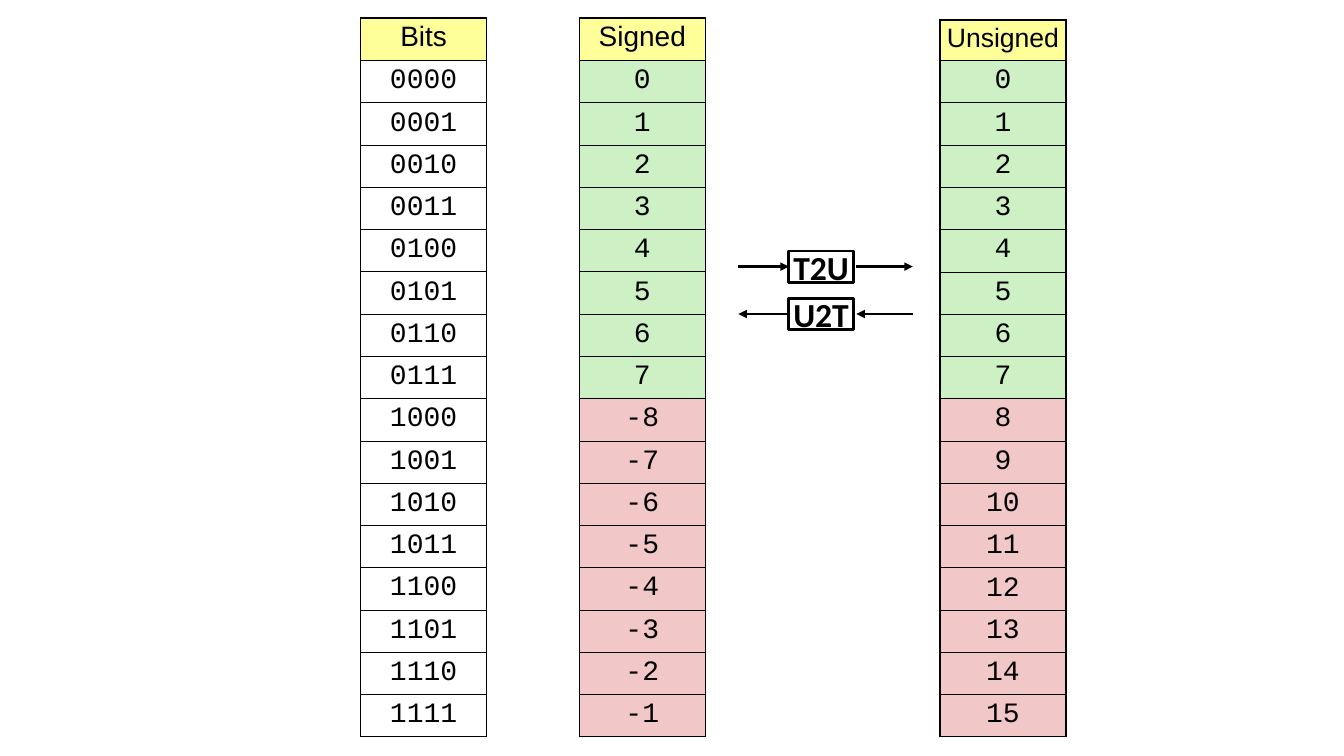
import lxml.etree
import pptx
import pptx.dml.color
import pptx.enum.shapes
import pptx.enum.text
import pptx.oxml.ns
import pptx.util

Pt = pptx.util.Pt
qn = pptx.oxml.ns.qn

COLORS = {
    "ink": "000000",
    "paper": "FFFFFF",
    "header": "FFFF99",
    "same": "CDF1C5",
    "differs": "F1C7C7",
}
ROW_HEIGHT = 30.2
COLUMN_WIDTH = 90
OUTER_LINE, INNER_LINE = 1.08, 0.45
LEFT_SIDE = 1


def color(name):
    return pptx.dml.color.RGBColor.from_string(COLORS[name])


class MappingSlide:
    def __init__(self, presentation):
        self.slide = presentation.slides.add_slide(presentation.slide_layouts[6])
        self.shapes = self.slide.shapes

    def add_label(self, frame, text, font, size, bold=False):
        paragraph = frame.paragraphs[0]
        paragraph.alignment = pptx.enum.text.PP_ALIGN.CENTER
        run = paragraph.add_run()
        run.text = text
        run.font.name = font
        run.font.size = Pt(size)
        run.font.bold = bold
        run.font.color.rgb = color("ink")
        return paragraph

    def border(self, cell, top, bottom):
        properties = cell._tc.get_or_add_tcPr()
        widths = {"lnL": OUTER_LINE, "lnR": OUTER_LINE, "lnT": top, "lnB": bottom}
        for position, (side, width) in enumerate(widths.items()):
            line = lxml.etree.Element(qn(f"a:{side}"), w=str(int(Pt(width))))
            fill = lxml.etree.SubElement(line, qn("a:solidFill"))
            lxml.etree.SubElement(fill, qn("a:srgbClr"), val=COLORS["ink"])
            properties.insert(position, line)

    def column(self, left, top, title, values, fills, title_size=20, title_height=ROW_HEIGHT):
        """Draw a one-column table with a heading above the values."""
        texts = [title, *values]
        height = title_height + ROW_HEIGHT * len(values)
        table = self.shapes.add_table(
            len(texts), 1, Pt(left), Pt(top), Pt(COLUMN_WIDTH), Pt(height)).table
        table.first_row = table.horz_banding = False
        last = len(texts) - 1
        for index, (text, fill) in enumerate(zip(texts, ["header", *fills])):
            is_title = index == 0
            table.rows[index].height = Pt(title_height if is_title else ROW_HEIGHT)
            cell = table.cell(index, 0)
            cell.margin_left = cell.margin_right = Pt(3.6)
            cell.margin_top = cell.margin_bottom = Pt(3.6)
            cell.fill.solid()
            cell.fill.fore_color.rgb = color(fill)
            paragraph = self.add_label(cell.text_frame, text,
                                       "Arial" if is_title else "Courier New",
                                       title_size if is_title else 20)
            paragraph.line_spacing = 0.95
            self.border(cell, OUTER_LINE if is_title else INNER_LINE,
                        OUTER_LINE if index == last else INNER_LINE)

    def box(self, left, top, width, height, text):
        box = self.shapes.add_shape(pptx.enum.shapes.MSO_SHAPE.RECTANGLE,
                                    Pt(left), Pt(top), Pt(width), Pt(height))
        box.shadow.inherit = False
        box.fill.solid()
        box.fill.fore_color.rgb = color("paper")
        box.line.color.rgb = color("ink")
        box.line.width = Pt(2)
        frame = box.text_frame
        frame.word_wrap = False
        frame.vertical_anchor = pptx.enum.text.MSO_ANCHOR.MIDDLE
        self.add_label(frame, text, "Calibri", 24, bold=True)
        return box

    def arrow(self, start, end, y):
        """Draw a level arrow whose head is at end."""
        arrow = self.shapes.add_connector(
            pptx.enum.shapes.MSO_CONNECTOR.STRAIGHT, Pt(start), Pt(y), Pt(end), Pt(y))
        arrow.line.color.rgb = color("ink")
        arrow.line.width = Pt(2)
        properties = arrow._element.spPr
        lxml.etree.SubElement(properties.find(qn("a:ln")), qn("a:tailEnd"), type="triangle")
        lxml.etree.SubElement(properties, qn("a:effectLst"))
        return arrow

    def conversion(self, text, top, rightward):
        """Draw a conversion box with an arrow on either side."""
        outer_left, box_left, outer_right, inner_right = 527.76, 563.76, 652.32, 612
        width, height = 46.08, 22.32
        box = self.box(box_left, top, width, height, text)
        middle = top + height / 2
        if rightward:
            self.arrow(outer_left, box_left, middle).end_connect(box, LEFT_SIDE)
            self.arrow(inner_right, outer_right, middle)
        else:
            self.arrow(box_left, outer_left, middle).begin_connect(box, LEFT_SIDE)
            self.arrow(outer_right, inner_right, middle)


def main():
    presentation = pptx.Presentation()
    presentation.slide_width = Pt(960.48)
    presentation.slide_height = Pt(540)
    mapping = MappingSlide(presentation)

    patterns = range(16)
    bits = [f"{n:04b}" for n in patterns]
    signed = [str(n if n < 8 else n - 16) for n in patterns]
    unsigned = [str(n) for n in patterns]
    agreement = ["same"] * 8 + ["differs"] * 8

    mapping.column(257.76, 12.96, "Bits", bits, ["paper"] * 16)
    mapping.column(414, 12.96, "Signed", signed, agreement)
    mapping.column(671.76, 14.4, "Unsigned", unsigned, agreement,
                   title_size=19, title_height=28.8)
    mapping.conversion("T2U", 179.28, rightward=True)
    mapping.conversion("U2T", 213.12, rightward=False)

    presentation.save("out.pptx")


if __name__ == "__main__":
    main()
